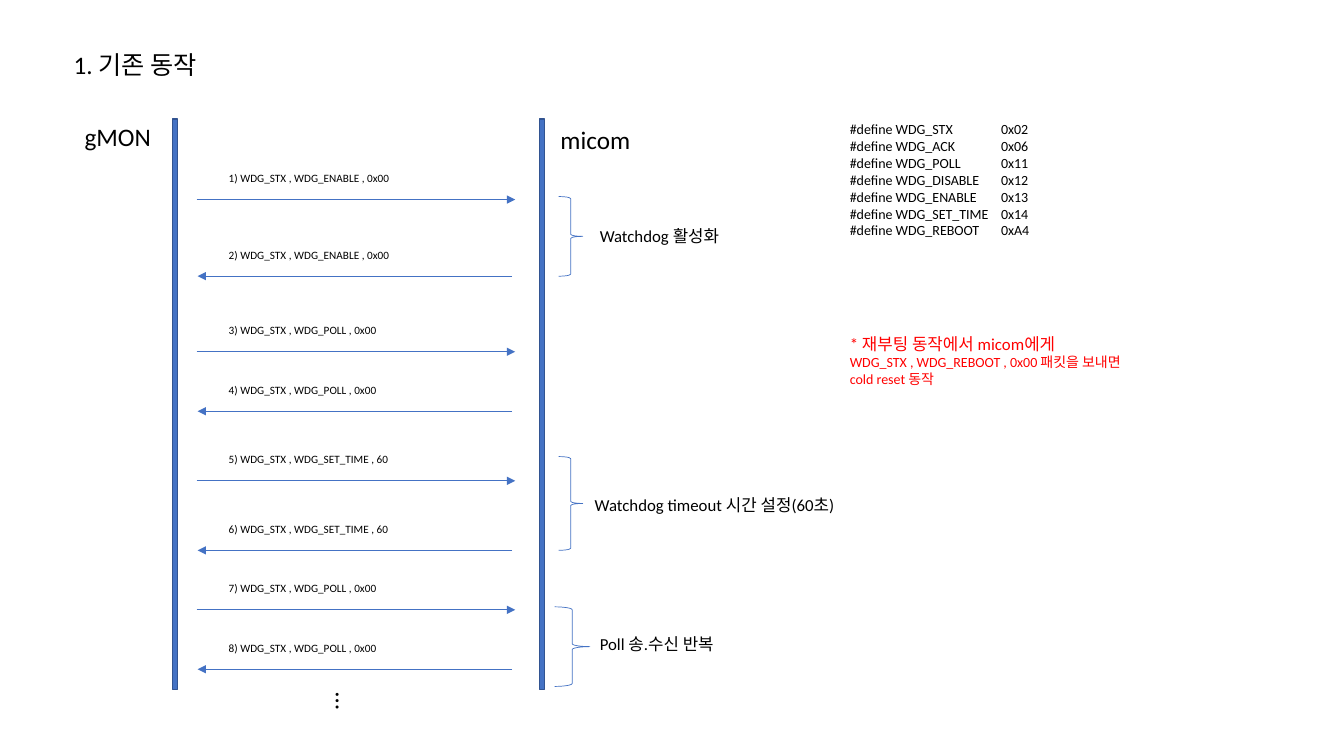
from dataclasses import dataclass

from lxml import etree
from pptx import Presentation
from pptx.dml.color import RGBColor
from pptx.enum.shapes import MSO_CONNECTOR, MSO_SHAPE
from pptx.enum.text import MSO_ANCHOR, MSO_AUTO_SIZE, PP_ALIGN
from pptx.oxml.ns import qn
from pptx.util import Inches, Pt

RECTANGLE = MSO_SHAPE.RECTANGLE
RIGHT_BRACE = MSO_SHAPE.RIGHT_BRACE
STRAIGHT = MSO_CONNECTOR.STRAIGHT
TOP = MSO_ANCHOR.TOP
LEFT = PP_ALIGN.LEFT
FIT_SHAPE = MSO_AUTO_SIZE.SHAPE_TO_FIT_TEXT

BLACK = RGBColor(0x00, 0x00, 0x00)
RED = RGBColor(0xFF, 0x00, 0x00)
BLUE = RGBColor(0x44, 0x72, 0xC4)
DARK_BLUE = RGBColor(0x32, 0x54, 0x91)
FONT = "Calibri"

LIFELINE_TOP, LIFELINE_WIDTH, LIFELINE_HEIGHT = 1.18, 0.05, 5.66
SEND_FROM, SEND_TO = 1.95, 5.11
REPLY_FROM, REPLY_TO = 5.08, 1.96
LABEL_LEFT, LABEL_RISE = 2.17, 0.33
VALUE_TAB = 1.5


@dataclass(frozen=True)
class Box:
    left: float
    top: float
    width: float
    height: float

    def emu(self) -> tuple:
        return tuple(Inches(v) for v in (self.left, self.top, self.width, self.height))


@dataclass(frozen=True)
class Participant:
    name: str
    name_box: Box
    lifeline_left: float


@dataclass(frozen=True)
class Message:
    packet: str
    y: float


@dataclass(frozen=True)
class Phase:
    caption: str
    caption_box: Box
    brace: Box


PARTICIPANTS = [
    Participant("gMON", Box(0.74, 1.15, 1.02, 0.4), 1.71),
    Participant("micom", Box(5.46, 1.18, 1.02, 0.4), 5.35),
]
MESSAGES = [
    Message("WDG_STX , WDG_ENABLE , 0x00", 1.98),
    Message("WDG_STX , WDG_ENABLE , 0x00", 2.74),
    Message("WDG_STX , WDG_POLL , 0x00", 3.49),
    Message("WDG_STX , WDG_POLL , 0x00", 4.08),
    Message("WDG_STX , WDG_SET_TIME , 60", 4.77),
    Message("WDG_STX , WDG_SET_TIME , 60", 5.46),
    Message("WDG_STX , WDG_POLL , 0x00", 6.05),
    Message("WDG_STX , WDG_POLL , 0x00", 6.64),
]
PHASES = [
    Phase("Watchdog 활성화", Box(5.85, 2.19, 2.12, 0.3), Box(5.54, 1.95, 0.24, 0.79)),
    Phase("Watchdog timeout 시간 설정(60초)", Box(5.8, 4.86, 3.19, 0.3),
          Box(5.54, 4.53, 0.24, 0.93)),
    Phase("Poll 송.수신 반복", Box(5.85, 6.24, 2.12, 0.3), Box(5.5, 6.02, 0.35, 0.79)),
]
DEFINES = {
    "WDG_STX": "0x02",
    "WDG_ACK": "0x06",
    "WDG_POLL": "0x11",
    "WDG_DISABLE": "0x12",
    "WDG_ENABLE": "0x13",
    "WDG_SET_TIME": "0x14",
    "WDG_REBOOT": "0xA4",
}
REBOOT_NOTE = [
    "* 재부팅 동작에서 micom에게",
    "WDG_STX , WDG_REBOOT , 0x00 패킷을 보내면",
    "cold reset 동작",
]


def write(slide, box: Box, *lines: str, sizes=(18,), color=BLACK, holder=None,
          vertical=False, tab=None):
    """Write one paragraph per line; the last size serves all further lines."""
    holder = holder or slide.shapes.add_textbox(*box.emu())
    holder.left, holder.top, holder.width, holder.height = box.emu()
    frame = holder.text_frame
    frame.word_wrap = True
    frame.auto_size = FIT_SHAPE
    frame.vertical_anchor = TOP
    if vertical:
        frame._txBody.bodyPr.set("vert", "eaVert")
    for i, line in enumerate(lines):
        paragraph = frame.add_paragraph() if i else frame.paragraphs[0]
        paragraph.alignment = LEFT
        if tab:
            stops = etree.SubElement(paragraph._p.get_or_add_pPr(), qn("a:tabLst"))
            etree.SubElement(stops, qn("a:tab"), pos=str(Inches(tab)), algn="l")
        run = paragraph.add_run()
        run.text = line
        run.font.name = FONT
        run.font.size = Pt(sizes[min(i, len(sizes) - 1)])
        run.font.color.rgb = color


def draw_shape(slide, kind, box: Box, line_color: RGBColor, line_width: float, fill=None):
    shape = slide.shapes.add_shape(kind, *box.emu())
    shape.shadow.inherit = False
    if fill is None:
        shape.fill.background()
    else:
        shape.fill.solid()
        shape.fill.fore_color.rgb = fill
    shape.line.color.rgb = line_color
    shape.line.width = Pt(line_width)


def draw_arrow(slide, start: float, end: float, y: float):
    arrow = slide.shapes.add_connector(
        STRAIGHT, Inches(start), Inches(y), Inches(end), Inches(y))
    arrow.line.color.rgb = BLUE
    arrow.line.width = Pt(0.5)
    etree.SubElement(arrow.line._get_or_add_ln(), qn("a:tailEnd"), type="triangle")
    etree.SubElement(arrow._element.spPr, qn("a:effectLst"))


def draw_message(slide, number: int, message: Message):
    is_send = number % 2 == 1
    start, end = (SEND_FROM, SEND_TO) if is_send else (REPLY_FROM, REPLY_TO)
    draw_arrow(slide, start, end, message.y)
    label = Box(LABEL_LEFT, message.y - LABEL_RISE, 1.9, 0.24)
    write(slide, label, f"{number}) {message.packet}", sizes=(8,))


def main():
    prs = Presentation()
    prs.slide_width, prs.slide_height = Inches(13.33), Inches(7.5)
    slide = prs.slides.add_slide(prs.slide_layouts[5])

    # Title
    write(slide, Box(0.63, 0.44, 3.38, 0.4), "1. 기존 동작", holder=slide.shapes.title)

    # Participants and lifelines
    for participant in PARTICIPANTS:
        lifeline = Box(participant.lifeline_left, LIFELINE_TOP,
                       LIFELINE_WIDTH, LIFELINE_HEIGHT)
        draw_shape(slide, RECTANGLE, lifeline, DARK_BLUE, 1, fill=BLUE)
        write(slide, participant.name_box, participant.name)

    # Messages, alternately sent and answered
    for number, message in enumerate(MESSAGES, start=1):
        draw_message(slide, number, message)
    write(slide, Box(3.13, 6.77, 0.5, 0.45), "…", vertical=True)

    # Phases
    for phase in PHASES:
        draw_shape(slide, RIGHT_BRACE, phase.brace, BLUE, 0.5)
        write(slide, phase.caption_box, phase.caption, sizes=(12,))

    # Constants and reboot note
    defines = [f"#define {name}\t{value}" for name, value in DEFINES.items()]
    write(slide, Box(8.33, 1.15, 2.29, 1.28), *defines, sizes=(10,), tab=VALUE_TAB)
    write(slide, Box(8.33, 3.26, 3.02, 0.64), *REBOOT_NOTE, sizes=(12, 10), color=RED)

    prs.save("out.pptx")


if __name__ == "__main__":
    main()
